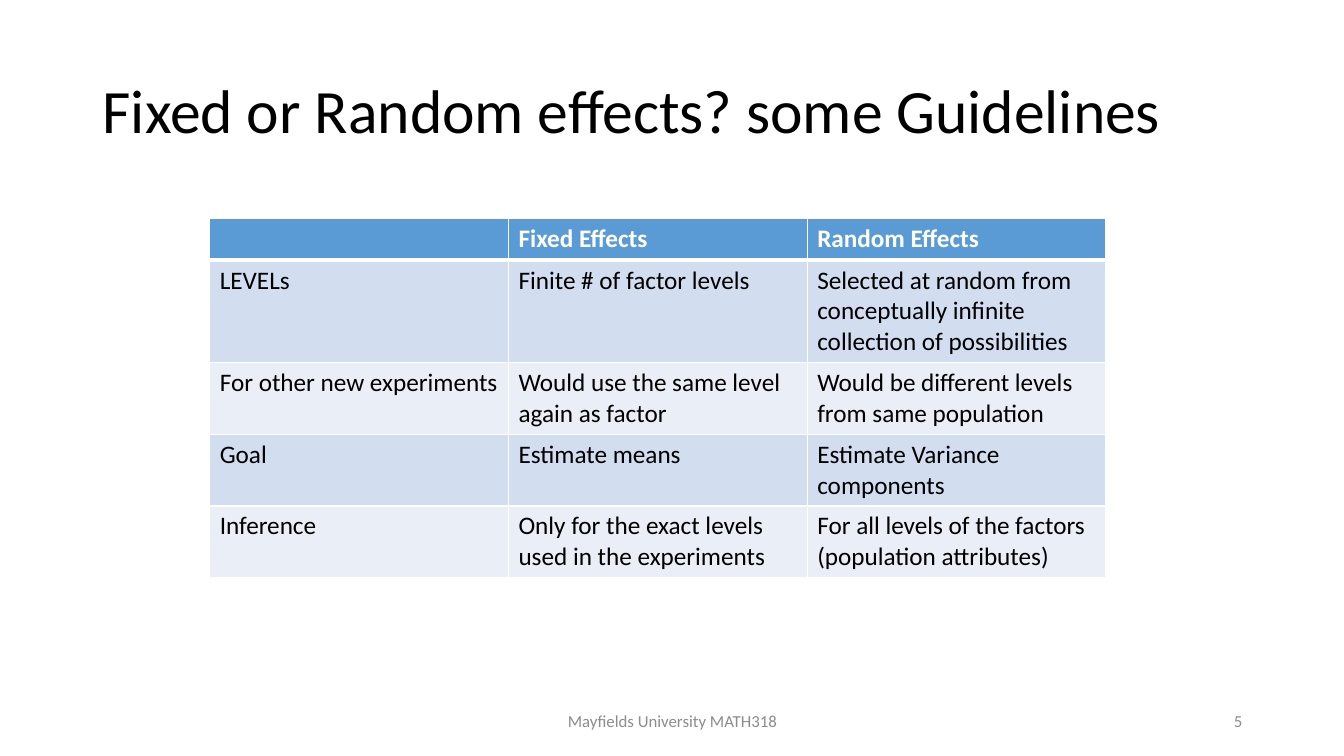
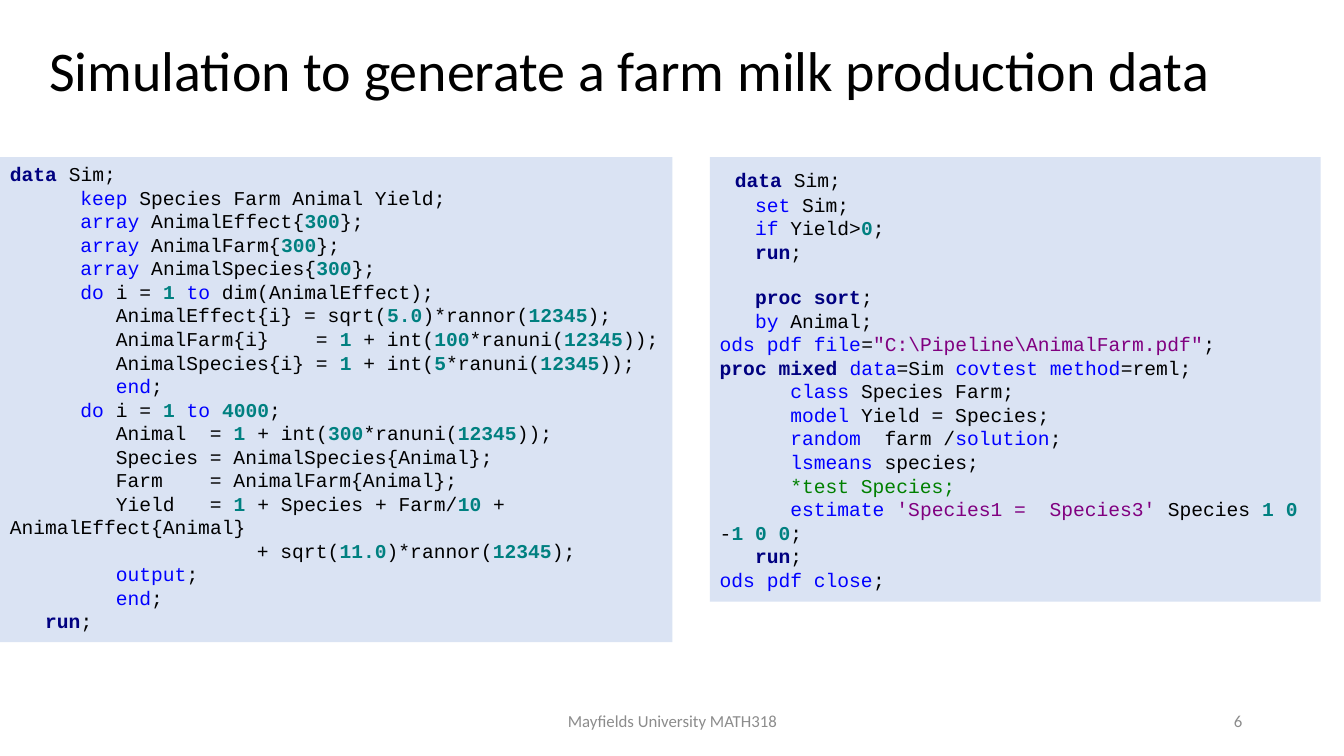
import dataclasses

import lxml.etree
import pptx
import pptx.dml.color
import pptx.enum.shapes
import pptx.enum.text
import pptx.oxml.ns
import pptx.util

Inches = pptx.util.Inches
Pt = pptx.util.Pt
ALIGN = pptx.enum.text.PP_ALIGN
ANCHOR = pptx.enum.text.MSO_ANCHOR


# Colours, fonts and type sizes
@dataclasses.dataclass(frozen=True)
class Theme:
    font: str = "Calibri"
    mono: str = "Courier New"
    ink: str = "000000"
    white: str = "FFFFFF"
    gray: str = "8C8C8C"
    head: str = "5B9BD5"
    bands: tuple = ("D2DEEF", "EAEFF7")
    panel: str = "DAE3F3"
    title: int = 44
    body: int = 18
    code: int = 14
    foot: int = 12


THEME = Theme()

# Code styles by mark: colour, bold
MARKS = {
    "b": ("000080", True),    # step
    "k": ("0000FF", False),   # keyword
    "n": ("008080", True),    # number
    "s": ("800080", False),   # string
    "c": ("008000", False),   # remark
}

FOOTER = "Mayfields University MATH318"

GUIDE = [
    ["", "Fixed Effects", "Random Effects"],
    ["LEVELs", "Finite # of factor levels",
     "Selected at random from conceptually infinite collection of possibilities"],
    ["For other new experiments", "Would use the same level again as factor",
     "Would be different levels from same population"],
    ["Goal", "Estimate means", "Estimate Variance components"],
    ["Inference", "Only for the exact levels used in the experiments",
     "For all levels of the factors (population attributes)"],
]

# Between two tildes: a mark, then the text it styles
MAKE = """\
~bdata~ Sim;
      ~kkeep~ Species Farm Animal Yield;
      ~karray ~AnimalEffect{~n300~};
      ~karray ~AnimalFarm{~n300~};
      ~karray ~AnimalSpecies{~n300~};
      ~kdo~ i = ~n1 ~~kto~ dim(AnimalEffect);
         AnimalEffect{i} = sqrt(~n5.0~)*rannor(~n12345~);
         AnimalFarm{i}    = ~n1~ + int(~n100~*ranuni(~n12345~));
         AnimalSpecies{i} = ~n1~ + int(~n5~*ranuni(~n12345~));
         ~kend~;
      ~kdo~ i = ~n1 ~~kto ~~n4000~;
         Animal  = ~n1~ + int(~n300~*ranuni(~n12345~));
         Species = AnimalSpecies{Animal};
         Farm    = AnimalFarm{Animal};
         Yield   = ~n1~ + Species + Farm/~n10~ + AnimalEffect{Animal}
                     + sqrt(~n11.0~)*rannor(~n12345~);
         ~koutput~;
         ~kend~;
   ~brun~;"""

MODEL = r"""~bdata~ Sim;
   ~kset~ Sim;
   ~kif~ Yield>~n0~;
   ~brun~;

   ~bproc sort~;
   ~kby~ Animal;
~kods pdf file~=~s"C:\Pipeline\AnimalFarm.pdf"~;
~bproc mixed ~~kdata~=Sim ~kcovtest method~=reml;
      ~kclass~ Species Farm;
      ~kmodel~ Yield = Species;
      ~krandom~  farm /~ksolution~;
      ~klsmeans~ species;
      ~c*test Species;~
      ~kestimate ~~s'Species1 =  Species3'~ Species ~n1 0~ -~n1 0 0~;
   ~brun~;
~kods pdf close~;"""


def rgb(code):
    return pptx.dml.color.RGBColor.from_string(code)


def write(par, text, *, size=THEME.body, color=THEME.ink, bold=False,
          font=THEME.font):
    """Add a run of text in the given format."""
    run = par.add_run()
    run.text = text
    run.font.size = Pt(size)
    run.font.name = font
    run.font.bold = bold
    run.font.color.rgb = rgb(color)


def edge(cell, **widths):
    """Draw white cell borders; sides are L, R, T and B."""
    props = cell._tc.get_or_add_tcPr()
    for side, width in widths.items():
        line = lxml.etree.SubElement(
            props, pptx.oxml.ns.qn("a:ln" + side), w=str(Pt(width)))
        fill = lxml.etree.SubElement(line, pptx.oxml.ns.qn("a:solidFill"))
        lxml.etree.SubElement(
            fill, pptx.oxml.ns.qn("a:srgbClr"), val=THEME.white)


class Deck:
    def __init__(self):
        self.show = pptx.Presentation()
        self.show.slide_width = Inches(13.33)
        self.show.slide_height = Inches(7.5)
        self.slide = None

    def page(self, number):
        """Start a slide with its footer."""
        self.slide = self.show.slides.add_slide(self.show.slide_layouts[6])
        style = {"size": THEME.foot, "color": THEME.gray}
        self.text(FOOTER, 4.42, 6.95, 4.5, 0.4, align=ALIGN.CENTER, **style)
        self.text(str(number), 9.42, 6.95, 3, 0.4, align=ALIGN.RIGHT, **style)

    def text(self, text, left, top, width, height, align=ALIGN.LEFT, **style):
        box = self.slide.shapes.add_textbox(
            Inches(left), Inches(top), Inches(width), Inches(height))
        frame = box.text_frame
        frame.word_wrap = True
        frame.vertical_anchor = ANCHOR.MIDDLE
        par = frame.paragraphs[0]
        par.alignment = align
        write(par, text, **style)
        return par

    def title(self, text, left, top, width, size=THEME.title):
        par = self.text(text, left, top, width, 1.45, size=size)
        par.line_spacing = 0.9

    def table(self, rows, left, top, width, heights):
        grid = self.slide.shapes.add_table(
            len(rows), len(rows[0]), Inches(left), Inches(top),
            Inches(width), Inches(sum(heights))).table
        for r, row in enumerate(rows):
            grid.rows[r].height = Inches(heights[r])
            head = r == 0
            for c, text in enumerate(row):
                cell = grid.cell(r, c)
                edge(cell, L=1, R=1, T=3 if r == 1 else 1, B=3 if head else 1)
                cell.fill.solid()
                cell.fill.fore_color.rgb = rgb(
                    THEME.head if head else THEME.bands[(r - 1) % 2])
                if text:
                    write(cell.text_frame.paragraphs[0], text, bold=head,
                          color=THEME.white if head else THEME.ink)

    def code(self, source, left, top, width, height, lead=""):
        """Add a code panel; lead is set in body size before the first line."""
        panel = self.slide.shapes.add_shape(
            pptx.enum.shapes.MSO_SHAPE.RECTANGLE,
            Inches(left), Inches(top), Inches(width), Inches(height))
        panel.shadow.inherit = False
        panel.fill.solid()
        panel.fill.fore_color.rgb = rgb(THEME.panel)
        panel.line.fill.background()
        frame = panel.text_frame
        frame.word_wrap = True
        frame.vertical_anchor = ANCHOR.TOP
        frame.auto_size = pptx.enum.text.MSO_AUTO_SIZE.SHAPE_TO_FIT_TEXT
        par = frame.paragraphs[0]
        if lead:
            write(par, lead, font=THEME.mono)
        gap = False
        for n, line in enumerate(source.splitlines()):
            if not line:
                gap = True
                continue
            if n:
                par = frame.add_paragraph()
            par.alignment = ALIGN.LEFT
            if gap:
                par.space_before = Pt(1.13 * THEME.code)
                gap = False
            # First-line indent: one letter is 0.6 of the type size
            bare = line.lstrip()
            depth = Pt(0.6 * THEME.code * (len(line) - len(bare)))
            props = par._p.get_or_add_pPr()
            props.set("marL", "0")
            props.set("indent", str(depth))
            for i, part in enumerate(bare.split("~")):
                color, bold = THEME.ink, False
                if i % 2:
                    color, bold = MARKS[part[0]]
                    part = part[1:]
                if part:
                    write(par, part, size=THEME.code, color=color, bold=bold,
                          font=THEME.mono)


def main():
    deck = Deck()

    # Guidelines table
    deck.page(5)
    deck.title("Fixed or Random effects? some Guidelines", 0.92, 0.4, 11.5)
    deck.table(GUIDE, 2.08, 2.17, 8.89, [0.41, 1.02, 0.71, 0.71, 0.71])

    # Code panels
    deck.page(6)
    deck.title("Simulation to generate a farm milk production data",
               0.39, 0, 11.99, size=40)
    deck.code(MAKE, 0, 1.56, 6.67, 4.81)
    deck.code(MODEL, 7.04, 1.56, 6.06, 4.41, lead=" ")

    deck.show.save("out.pptx")


if __name__ == "__main__":
    main()
